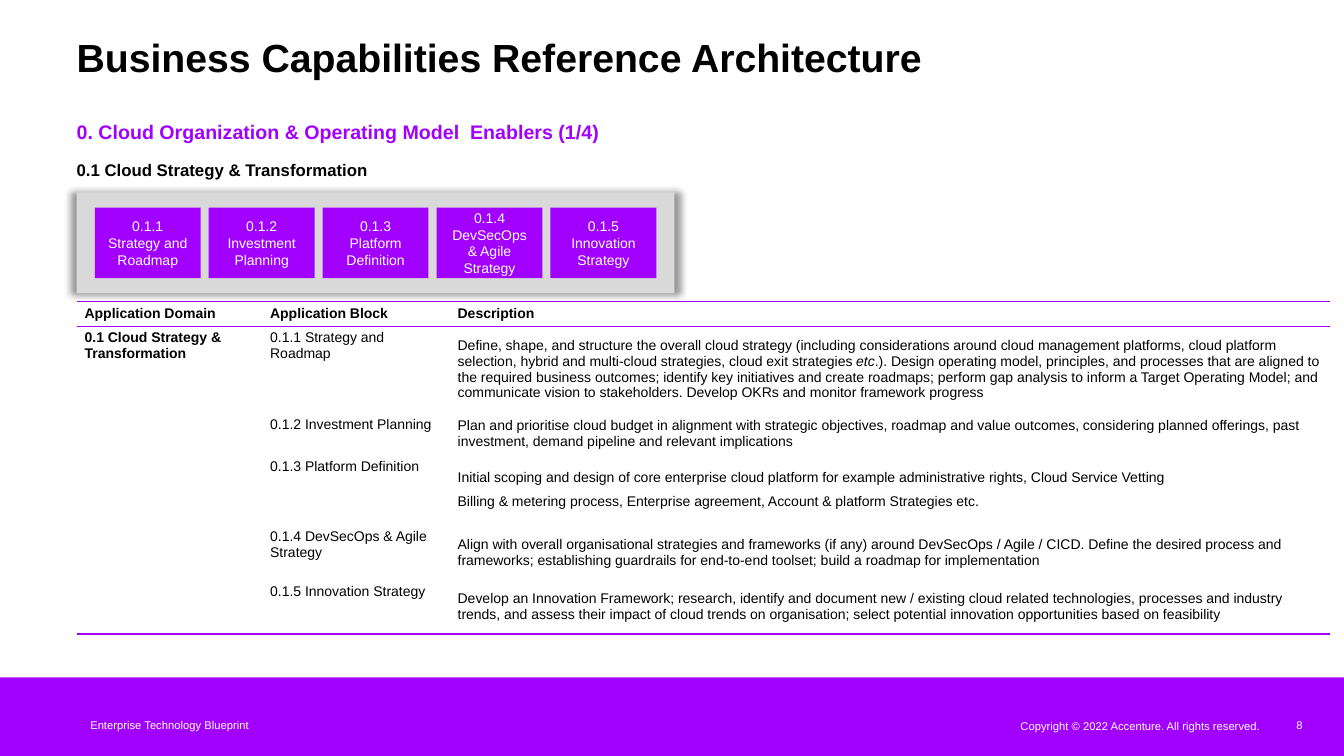
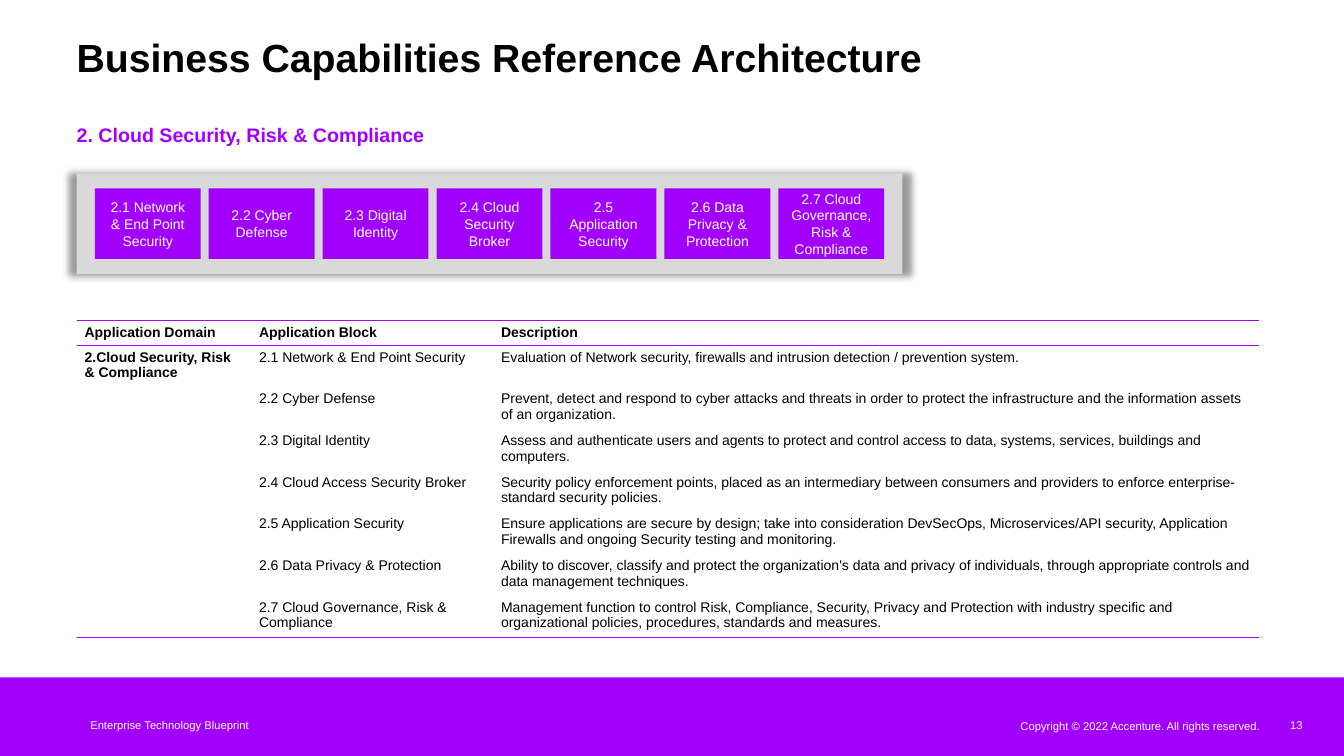
from lxml.etree import SubElement
from pptx import Presentation
from pptx.dml.color import RGBColor
from pptx.enum.shapes import MSO_SHAPE
from pptx.enum.text import MSO_ANCHOR, MSO_AUTO_SIZE, PP_ALIGN
from pptx.oxml import parse_xml
from pptx.oxml.ns import nsdecls, qn
from pptx.util import Inches, Pt

COLORS = {"purple": "A100FF", "panel": "D9D9D9", "black": "000000", "white": "FFFFFF"}
FONT = "Arial"
LEFT = 0.76
TITLE = "Business Capabilities Reference Architecture"
HEADERS = ("Application Domain", "Application Block", "Description")
TILE_WIDTH, TILE_HEIGHT, TILE_GAP = 1.05, 0.7, 0.08
PANEL_MARGIN_X, PANEL_MARGIN_Y = 0.18, 0.15
TITLE_AND_BODY, TITLE_AND_TWO_BODIES = 1, 3

STRATEGY_TILES = (
    "0.1.1 Strategy and Roadmap", "0.1.2 Investment Planning", "0.1.3 Platform Definition",
    "0.1.4 DevSecOps & Agile Strategy", "0.1.5 Innovation Strategy",
)
STRATEGY_DESCRIPTIONS = (
    ["Define, shape, and structure the overall cloud strategy (including considerations around "
     "cloud management platforms, cloud platform selection, hybrid and multi-cloud strategies, "
     "cloud exit strategies *etc*.). Design operating model, principles, and processes that are "
     "aligned to the required business outcomes; identify key initiatives and create roadmaps; "
     "perform gap analysis to inform a Target Operating Model; and communicate vision to "
     "stakeholders. Develop OKRs and monitor framework progress"],
    "Plan and prioritise cloud budget in alignment with strategic objectives, roadmap and value "
    "outcomes, considering planned offerings, past investment, demand pipeline and relevant "
    "implications",
    ["Initial scoping and design of core enterprise cloud platform for example administrative "
     "rights, Cloud Service Vetting",
     "Billing & metering process, Enterprise agreement, Account & platform Strategies etc."],
    "Align with overall organisational strategies and frameworks (if any) around DevSecOps / "
    "Agile / CICD. Define the desired process and frameworks; establishing guardrails for "
    "end-to-end toolset; build a roadmap for implementation",
    "Develop an Innovation Framework; research, identify and document new / existing cloud "
    "related technologies, processes and industry trends, and assess their impact of cloud "
    "trends on organisation; select potential innovation opportunities based on feasibility",
)
SECURITY_TILES = (
    "2.1 Network & End Point Security", "2.2 Cyber Defense", "2.3 Digital Identity",
    "2.4 Cloud Security Broker", "2.5 Application Security", "2.6 Data Privacy & Protection",
    "2.7 Cloud Governance, Risk & Compliance",
)
SECURITY_ROWS = (
    ("2.1 Network & End Point Security",
     "Evaluation of Network security, firewalls and intrusion detection / prevention system."),
    ("2.2 Cyber Defense",
     "Prevent, detect and respond to cyber attacks and threats in order to protect the "
     "infrastructure and the information assets of an organization."),
    ("2.3 Digital Identity",
     "Assess and authenticate users and agents to protect and control access to data, systems, "
     "services, buildings and computers."),
    ("2.4 Cloud Access Security Broker",
     "Security policy enforcement points, placed as an intermediary between consumers and "
     "providers to enforce enterprise-standard security policies."),
    ("2.5 Application Security",
     "Ensure applications are secure by design; take into consideration DevSecOps, "
     "Microservices/API security, Application Firewalls and ongoing Security testing and "
     "monitoring."),
    ("2.6 Data Privacy & Protection",
     "Ability to discover, classify and protect the organization's data and privacy of "
     "individuals, through appropriate controls and data management techniques."),
    ("2.7 Cloud Governance, Risk & Compliance",
     "Management function to control Risk, Compliance, Security, Privacy and Protection with "
     "industry specific and organizational policies, procedures, standards and measures."),
)


def rgb(name):
    return RGBColor.from_string(COLORS[name])


def style(paragraph, size, color="black", bold=False, align=PP_ALIGN.LEFT):
    paragraph.alignment = align
    font = paragraph.font
    font.name, font.size, font.bold = FONT, Pt(size), bold
    font.color.rgb = rgb(color)


def clear_insets(frame):
    frame.margin_left = frame.margin_right = frame.margin_top = frame.margin_bottom = 0


def place(shape, left, top, width, height):
    shape.left, shape.top = Inches(left), Inches(top)
    shape.width, shape.height = Inches(width), Inches(height)


def fill_placeholder(shape, text, box, size, color):
    place(shape, *box)
    frame = shape.text_frame
    frame.text = text
    frame.auto_size = MSO_AUTO_SIZE.NONE
    frame.vertical_anchor = MSO_ANCHOR.TOP
    clear_insets(frame)
    paragraph = frame.paragraphs[0]
    paragraph.space_before = Pt(0)
    properties = paragraph._p.get_or_add_pPr()
    properties.set("marL", "0")
    properties.set("indent", "0")
    SubElement(properties, qn("a:buNone"))
    style(paragraph, size, color, bold=True)
    return paragraph


def add_rectangle(slide, left, top, width, height, color):
    shape = slide.shapes.add_shape(
        MSO_SHAPE.RECTANGLE, Inches(left), Inches(top), Inches(width), Inches(height))
    shape.shadow.inherit = False
    shape.fill.solid()
    shape.fill.fore_color.rgb = rgb(color)
    shape.line.fill.background()
    return shape


def add_glow(shape):
    effects = shape._element.spPr.find(qn("a:effectLst"))
    effects.append(parse_xml(
        f'<a:outerShdw {nsdecls("a")} blurRad="63500" sx="102000" sy="102000" algn="ctr" '
        f'rotWithShape="0"><a:srgbClr val="{COLORS["black"]}"><a:alpha val="40000"/>'
        '</a:srgbClr></a:outerShdw>'))


def add_tile_panel(slide, top, labels):
    pitch = TILE_WIDTH + TILE_GAP
    width = len(labels) * pitch - TILE_GAP + 2 * PANEL_MARGIN_X
    height = TILE_HEIGHT + 2 * PANEL_MARGIN_Y
    add_glow(add_rectangle(slide, LEFT, top, width, height, "panel"))
    for index, label in enumerate(labels):
        tile = add_rectangle(slide, LEFT + PANEL_MARGIN_X + index * pitch, top + PANEL_MARGIN_Y,
                             TILE_WIDTH, TILE_HEIGHT, "purple")
        tile.text_frame.text = label
        tile.text_frame.word_wrap = True
        tile.text_frame.vertical_anchor = MSO_ANCHOR.MIDDLE
        style(tile.text_frame.paragraphs[0], 10, "white", align=PP_ALIGN.CENTER)


def add_footer_text(slide, text, left, top, width, height):
    box = slide.shapes.add_textbox(Inches(left), Inches(top), Inches(width), Inches(height))
    frame = box.text_frame
    frame.text = text
    frame.word_wrap = True
    frame.vertical_anchor = MSO_ANCHOR.MIDDLE
    clear_insets(frame)
    style(frame.paragraphs[0], 8, "white", align=PP_ALIGN.RIGHT)


def add_footer(slide, number):
    add_rectangle(slide, 0, 6.72, 13.33, 0.78, "purple")
    add_footer_text(slide, "Copyright © 2022 Accenture. All rights reserved.", 9.1, 7.09, 3.4, 0.22)
    add_footer_text(slide, str(number), 12.5, 7.08, 0.42, 0.23)
    add_footer_text(slide, "Enterprise Technology Blueprint", 0.74, 7.13, 1.73, 0.13)


def set_borders(cell, top, bottom):
    properties = cell._tc.get_or_add_tcPr()
    for side, visible in (("L", False), ("R", False), ("T", top), ("B", bottom)):
        line = SubElement(properties, qn(f"a:ln{side}"), w=str(Pt(1)))
        if visible:
            SubElement(SubElement(line, qn("a:solidFill")), qn("a:srgbClr"), val=COLORS["purple"])
        else:
            SubElement(line, qn("a:noFill"))


def write_cell(cell, content, bold, anchor):
    spaced = isinstance(content, list)
    cell.margin_left = cell.margin_right = Inches(0.08)
    cell.margin_top = cell.margin_bottom = Inches(0.04)
    cell.vertical_anchor = anchor
    frame = cell.text_frame
    for index, text in enumerate(content if spaced else [content]):
        paragraph = frame.add_paragraph() if index else frame.paragraphs[0]
        if spaced:
            paragraph.space_after = Pt(6)
        style(paragraph, 10, bold=bold)
        for part, piece in enumerate(text.split("*")):
            run = paragraph.add_run()
            run.text = piece
            if part % 2:
                run.font.italic = True


def add_capability_table(slide, top, domain, rows, widths, heights, merged, anchor):
    contents = [HEADERS]
    contents += [("" if index else domain, *row) for index, row in enumerate(rows)]
    last = len(rows)
    frame = slide.shapes.add_table(
        len(contents), len(HEADERS), Inches(LEFT), Inches(top),
        Inches(sum(widths)), Inches(sum(heights)))
    table = frame.table
    table.first_row = table.horz_banding = False
    for column, width in zip(table.columns, widths):
        column.width = Inches(width)
    for row, height in zip(table.rows, heights):
        row.height = Inches(height)
    if merged:
        table.cell(1, 0).merge(table.cell(last, 0))
    for row, values in enumerate(contents):
        for column, value in enumerate(values):
            cell = table.cell(row, column)
            set_borders(cell, row in (0, 1), row in (0, last) or cell.is_merge_origin)
            cell.fill.background()
            is_description = row > 0 and column == 2
            write_cell(cell, value, row == 0 or column == 0,
                       anchor if is_description else MSO_ANCHOR.TOP)


def add_capability_slide(presentation, layout, number, heading, heading_top):
    slide = presentation.slides.add_slide(presentation.slide_layouts[layout])
    add_footer(slide, number)
    title = fill_placeholder(slide.shapes.title, TITLE, (LEFT, 0.42, 12.16, 0.38), 28, "black")
    title.line_spacing = 0.8
    fill_placeholder(slide.placeholders[1], heading, (LEFT, heading_top, 12.16, 0.24),
                     14, "purple")
    return slide


def build_strategy_slide(presentation):
    slide = add_capability_slide(presentation, TITLE_AND_TWO_BODIES, 8,
                                 "0. Cloud Organization & Operating Model  Enablers (1/4)", 1.19)
    domain = "0.1 Cloud Strategy & Transformation"
    fill_placeholder(slide.placeholders[2], domain, (LEFT, 1.58, 3.37, 0.49), 12, "black")
    add_tile_panel(slide, 1.91, STRATEGY_TILES)
    add_capability_table(slide, 2.99, domain, list(zip(STRATEGY_TILES, STRATEGY_DESCRIPTIONS)),
                         (1.84, 1.86, 8.73), (0.23, 0.86, 0.39, 0.7, 0.54, 0.54),
                         True, MSO_ANCHOR.MIDDLE)


def build_security_slide(presentation):
    slide = add_capability_slide(presentation, TITLE_AND_BODY, 13,
                                 "2. Cloud Security, Risk & Compliance", 1.22)
    add_tile_panel(slide, 1.72, SECURITY_TILES)
    add_capability_table(slide, 3.18, "2.Cloud Security, Risk & Compliance", SECURITY_ROWS,
                         (1.73, 2.4, 7.6), [0.23] + [0.39] * len(SECURITY_ROWS),
                         False, MSO_ANCHOR.TOP)


def main():
    presentation = Presentation()
    presentation.slide_width, presentation.slide_height = Inches(13.33), Inches(7.5)
    build_strategy_slide(presentation)
    build_security_slide(presentation)
    presentation.save("out.pptx")


if __name__ == "__main__":
    main()
